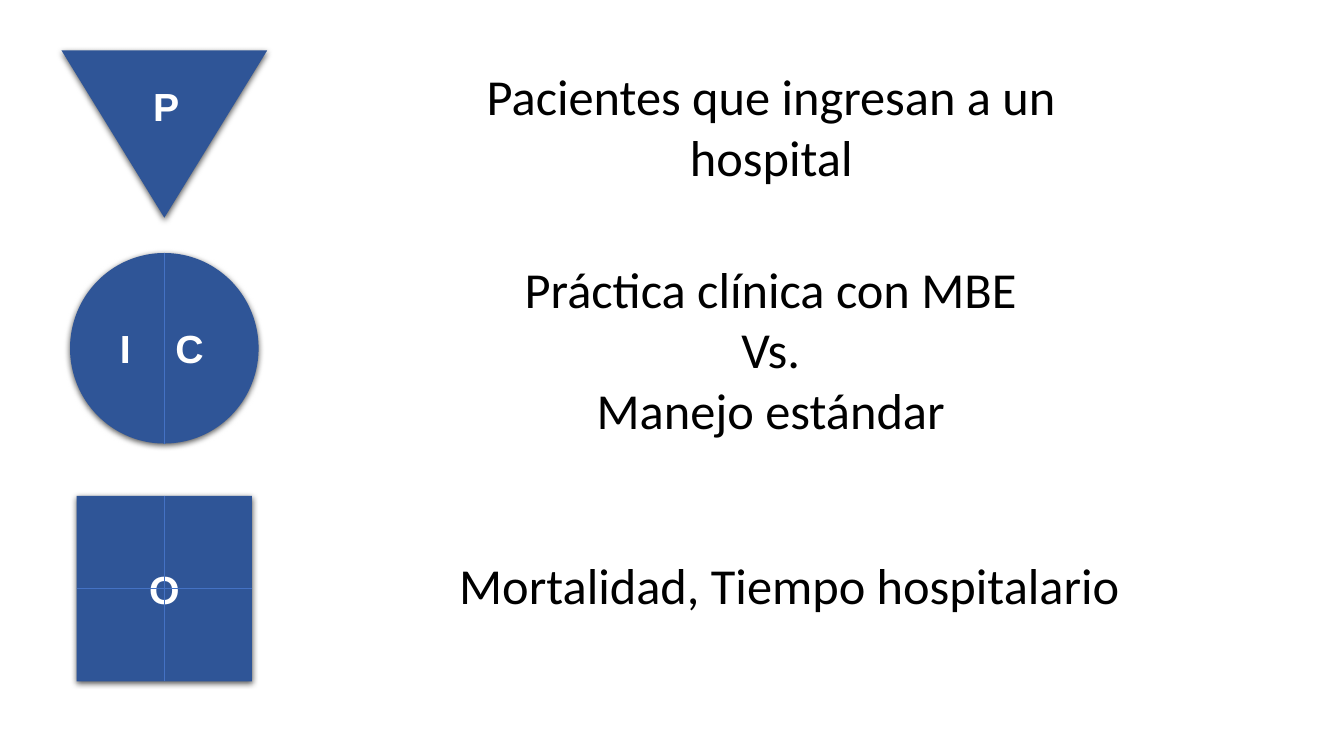
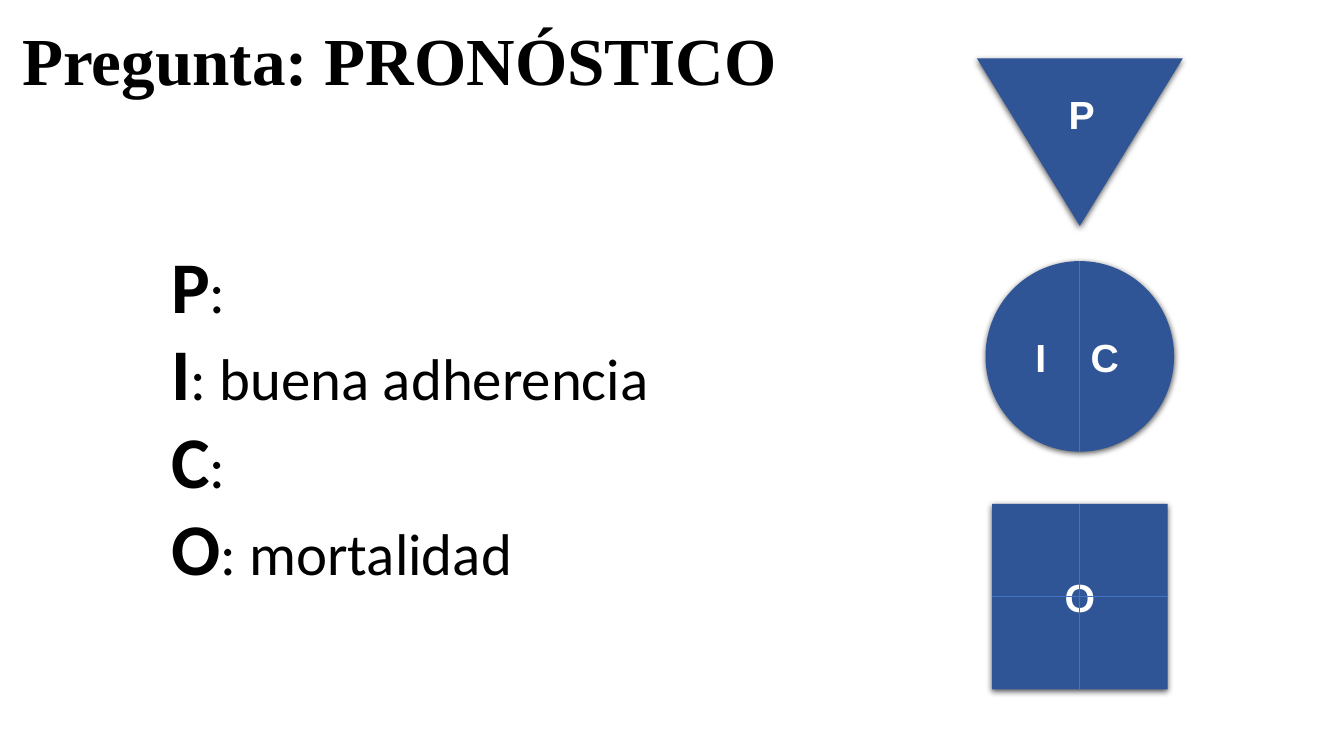
"""Build two slides on PICO questions, each with the triangle, circle and square key."""
from lxml import etree
from pptx import Presentation
from pptx.dml.color import RGBColor
from pptx.enum.shapes import MSO_CONNECTOR, MSO_SHAPE
from pptx.enum.text import MSO_ANCHOR, PP_ALIGN
from pptx.oxml import parse_xml
from pptx.oxml.ns import qn
from pptx.util import Inches, Pt

TRIANGLE, OVAL, SQUARE = MSO_SHAPE.ISOSCELES_TRIANGLE, MSO_SHAPE.OVAL, MSO_SHAPE.RECTANGLE
LEFT, CENTER, MIDDLE = PP_ALIGN.LEFT, PP_ALIGN.CENTER, MSO_ANCHOR.MIDDLE
STRAIGHT = MSO_CONNECTOR.STRAIGHT
BLUE = RGBColor(0x2F, 0x55, 0x97)
LINE_BLUE = RGBColor(0x44, 0x72, 0xC4)
WHITE = RGBColor(0xFF, 0xFF, 0xFF)
BLACK = RGBColor(0, 0, 0)
SHADOW = (
    '<a:outerShdw xmlns:a="http://schemas.openxmlformats.org/drawingml/2006/main" '
    'blurRad="57150" dist="19050" dir="5400000" algn="ctr" rotWithShape="0">'
    '<a:srgbClr val="000000"><a:alpha val="63000"/></a:srgbClr></a:outerShdw>'
)


def write(sp, paragraphs, font, color, align=LEFT, wrap=True):
    """Fill a shape with paragraphs, each a list of (text, size, bold) runs."""
    tf = sp.text_frame
    tf.word_wrap = wrap
    for i, runs in enumerate(paragraphs):
        p = tf.paragraphs[0] if i == 0 else tf.add_paragraph()
        p.alignment = align
        for text, size, bold in runs:
            r = p.add_run()
            r.text = text
            r.font.name, r.font.size, r.font.bold = font, Pt(size), bold
            r.font.color.rgb = color


def add_key(s, x, y):
    """Draw the P, I, C and O figures in a group whose top left corner is x, y."""
    shapes = s.shapes.add_group_shape().shapes
    middle = x + 1.02
    figures = []
    for kind, top, w, h in ((TRIANGLE, 0, 2.04, 1.66), (OVAL, 2.01, 1.87, 1.89),
                            (SQUARE, 4.42, 1.74, 1.84)):
        sp = shapes.add_shape(kind, Inches(middle - w / 2), Inches(y + top), Inches(w), Inches(h))
        sp.fill.solid()
        sp.fill.fore_color.rgb = BLUE
        sp.line.fill.background()
        sp.shadow.inherit = False
        sp._element.spPr.find(qn("a:effectLst")).append(parse_xml(SHADOW))
        sp.text_frame.vertical_anchor = MIDDLE
        figures.append(sp)
    triangle, circle, square = figures
    triangle.rotation = 180

    tf = circle.text_frame
    tf.margin_left, tf.margin_right = Inches(0.22), 0
    tabs = etree.SubElement(tf.paragraphs[0]._p.get_or_add_pPr(), qn("a:tabLst"))
    etree.SubElement(tabs, qn("a:tab"), pos=str(Inches(0.55)), algn="l")
    write(circle, [[("I\tC", 28, True)]], "Arial", WHITE)
    write(square, [[("O", 28, True)]], "Arial", WHITE, CENTER)
    label = shapes.add_textbox(Inches(x + 0.81), Inches(y + 0.27), Inches(0.42), Inches(0.57))
    write(label, [[("P", 28, True)]], "Arial", WHITE)

    for x1, y1, x2, y2 in ((1.02, 2.01, 1.02, 3.9), (1.02, 4.42, 1.02, 6.26),
                           (0.15, 5.34, 1.89, 5.34)):
        line = shapes.add_connector(STRAIGHT, Inches(x + x1), Inches(y + y1),
                                    Inches(x + x2), Inches(y + y2))
        line.line.color.rgb = LINE_BLUE
        line.line.width = Pt(0.5)
        etree.SubElement(line._element.spPr, qn("a:effectLst"))


prs = Presentation()
prs.slide_width, prs.slide_height = Inches(13.33), Inches(7.5)
blank = prs.slide_layouts[6]

s = prs.slides.add_slide(blank)
add_key(s, 0.61, 0.5)
answers = (
    (3.97, 0.6, 7.36, 1.31, True, ["Pacientes que ingresan a un hospital"]),
    (5.08, 2.51, 5.13, 1.92, False, ["Práctica clínica con MBE", "Vs.", "Manejo estándar"]),
    (4.32, 5.45, 7.02, 0.71, True, ["Mortalidad, Tiempo hospitalario"]),
)
for x, y, w, h, wrap, lines in answers:
    sp = s.shapes.add_textbox(Inches(x), Inches(y), Inches(w), Inches(h))
    write(sp, [[(text, 36, False)] for text in lines], "Calibri", BLACK, CENTER, wrap)

s = prs.slides.add_slide(blank)
sp = s.shapes.add_textbox(Inches(1.6), Inches(2.34), Inches(6.73), Inches(3.6))
parts = (("P", ":"), ("I", ": buena adherencia"), ("C", ":"), ("O", ": mortalidad"))
write(sp, [[(letter, 52, True), (text, 42, False)] for letter, text in parts], "Calibri", BLACK)
title = s.shapes.add_textbox(Inches(0.12), Inches(0.13), Inches(10.92), Inches(0.91))
write(title, [[("Pregunta: PRONÓSTICO", 48, True)]], "Times New Roman", BLACK)
add_key(s, 9.69, 0.58)

prs.save("out.pptx")
